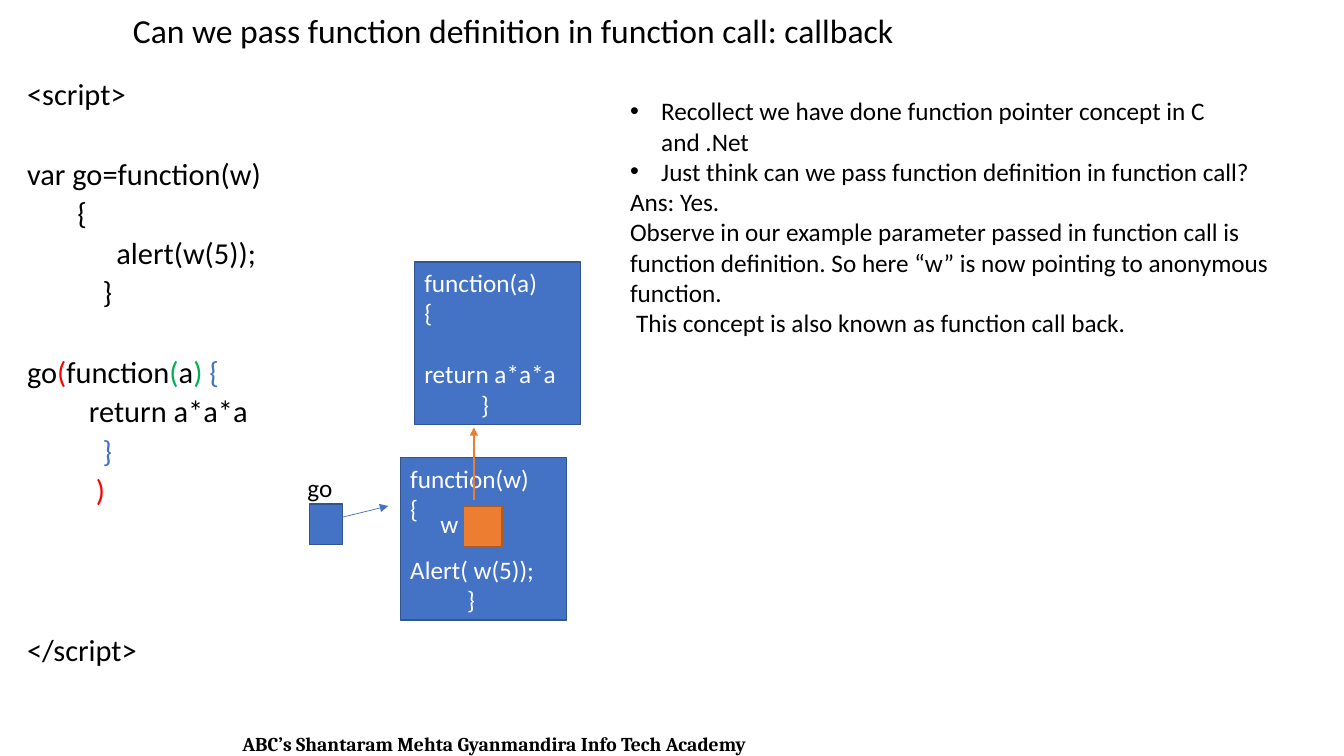
from dataclasses import dataclass
from typing import Optional

import lxml.etree
import pptx
import pptx.dml.color
import pptx.enum.shapes
import pptx.enum.text
import pptx.oxml.ns
import pptx.util

EMU_PER_PX = 9144
BLACK, WHITE, RED, GREEN = "000000", "FFFFFF", "FF0000", "00B050"
BLUE, BLUE_EDGE = "4472C4", "325491"
ORANGE, ORANGE_EDGE = "ED7D31", "AF5C24"
ALIGN = pptx.enum.text.PP_ALIGN
ANCHOR = pptx.enum.text.MSO_ANCHOR


@dataclass(frozen=True)
class Span:
    text: str
    color: str = BLACK


@dataclass(frozen=True)
class Line:
    spans: tuple[Span, ...]
    before: float = 0
    bullet: bool = False
    indent: int = 0


@dataclass(frozen=True)
class Style:
    size: float = 18
    font: str = "Calibri"
    bold: bool = False
    spacing: float = 1
    align: ALIGN = ALIGN.LEFT
    anchor: ANCHOR = ANCHOR.TOP


@dataclass(frozen=True)
class Block:
    left: int
    top: int
    width: int
    height: int
    lines: tuple[Line, ...] = ()
    style: Style = Style()
    fill: Optional[str] = None
    edge: Optional[str] = None


@dataclass(frozen=True)
class Arrow:
    start: tuple[int, int]
    end: tuple[int, int]
    color: str
    weight: float


def px(length: int) -> int:
    return pptx.util.Emu(length * EMU_PER_PX)


def rgb(color: str) -> pptx.dml.color.RGBColor:
    return pptx.dml.color.RGBColor.from_string(color)


def line(text: str, color: str = BLACK, before: float = 0) -> Line:
    return Line((Span(text, color),), before)


def function_box(left: int, top: int, name: str, statement: str) -> Block:
    lines = (line(name, WHITE), line("{", WHITE),
             line(statement, WHITE, 22), line("          }", WHITE))
    return Block(left, top, 165, 161, lines, Style(anchor=ANCHOR.MIDDLE), BLUE, BLUE_EDGE)


def write_line(para, content: Line, style: Style) -> None:
    para.alignment = style.align
    para.line_spacing = style.spacing
    para.space_before = pptx.util.Pt(content.before)
    if content.indent:
        properties = para._p.get_or_add_pPr()
        properties.set("marL", str(px(content.indent)))
        if content.bullet:
            properties.set("indent", str(px(-content.indent)))
            tag = pptx.oxml.ns.qn("a:buFont")
            lxml.etree.SubElement(properties, tag, typeface="Arial")
            tag = pptx.oxml.ns.qn("a:buChar")
            lxml.etree.SubElement(properties, tag, char="•")
    for span in content.spans:
        run = para.add_run()
        run.text = span.text
        run.font.name = style.font
        run.font.size = pptx.util.Pt(style.size)
        run.font.bold = style.bold
        run.font.color.rgb = rgb(span.color)


def draw_block(page, block: Block) -> None:
    place = [px(n) for n in (block.left, block.top, block.width, block.height)]
    if block.fill:
        box = page.shapes.add_shape(pptx.enum.shapes.MSO_SHAPE.RECTANGLE, *place)
        box.shadow.inherit = False
        box.fill.solid()
        box.fill.fore_color.rgb = rgb(block.fill)
        box.line.color.rgb = rgb(block.edge)
        box.line.width = pptx.util.Pt(1)
    else:
        box = page.shapes.add_textbox(*place)
    frame = box.text_frame
    frame.word_wrap = True
    frame.vertical_anchor = block.style.anchor
    for index, content in enumerate(block.lines):
        para = frame.add_paragraph() if index else frame.paragraphs[0]
        write_line(para, content, block.style)


def draw_arrow(page, arrow: Arrow) -> None:
    ends = [px(n) for n in arrow.start + arrow.end]
    connector = page.shapes.add_connector(pptx.enum.shapes.MSO_CONNECTOR.STRAIGHT, *ends)
    connector.line.color.rgb = rgb(arrow.color)
    connector.line.width = pptx.util.Pt(arrow.weight)
    qn = pptx.oxml.ns.qn
    properties = connector.element.spPr
    lxml.etree.SubElement(properties.find(qn("a:ln")), qn("a:tailEnd"), type="triangle")
    lxml.etree.SubElement(properties, qn("a:effectLst"))


CODE_GAP = 10
CODE_ROW = 28.5
CODE = (
    line("<script>"),
    line("var go=function(w)", before=CODE_GAP + CODE_ROW),
    line("\t{", before=CODE_GAP),
    line("             alert(w(5));", before=CODE_GAP),
    line("           }", before=CODE_GAP),
    Line((Span("go"), Span("(", RED), Span("function"), Span("(", GREEN),
          Span("a"), Span(") ", GREEN), Span("{", BLUE)), CODE_GAP + CODE_ROW),
    line("         return a*a*a", before=CODE_GAP),
    line("           }", BLUE, CODE_GAP),
    line("          )", RED, CODE_GAP),
    line("</script>", before=CODE_GAP + 3 * CODE_ROW),
)
NOTES = (
    Line((Span("Recollect we have done function pointer concept in C and .Net"),),
         bullet=True, indent=31),
    Line((Span("Just think can we pass function definition in function call?"),),
         bullet=True, indent=31),
    line("Ans: Yes."),
    line("Observe in our example parameter passed in function call is function "
         "definition. So here “w” is now pointing to anonymous function."),
    Line((Span("This concept is also known as function call back."),), indent=6),
)
BLOCKS = (
    Block(25, 721, 931, 34, (line("ABC’s Shantaram Mehta Gyanmandira Info Tech Academy"),),
          Style(14, "Cambria", True, align=ALIGN.CENTER)),
    Block(122, 0, 1120, 65,
          (line("Can we pass function definition in function call: callback"),),
          Style(24, spacing=0.9, anchor=ANCHOR.MIDDLE)),
    Block(17, 80, 368, 596, CODE, Style(21.7, spacing=0.7)),
    function_box(411, 260, "function(a)", "return a*a*a"),
    Block(307, 500, 33, 40, fill=BLUE, edge=BLUE_EDGE),
    Block(295, 464, 52, 40, (line("go"),)),
    function_box(397, 454, "function(w)", "Alert( w(5));"),
    Block(460, 502, 38, 40, fill=ORANGE, edge=ORANGE_EDGE),
    Block(427, 499, 43, 40, (line("w", WHITE),)),
    Block(615, 90, 672, 283, NOTES),
)
ARROWS = (
    Arrow((470, 496), (470, 424), ORANGE, 1.5),
    Arrow((340, 513), (385, 502), BLUE, 0.5),
)


def main() -> None:
    deck = pptx.Presentation()
    deck.slide_width, deck.slide_height = px(1333), px(750)
    page = deck.slides.add_slide(deck.slide_layouts[6])
    for block in BLOCKS:
        draw_block(page, block)
    for arrow in ARROWS:
        draw_arrow(page, arrow)
    deck.save("out.pptx")


if __name__ == "__main__":
    main()
